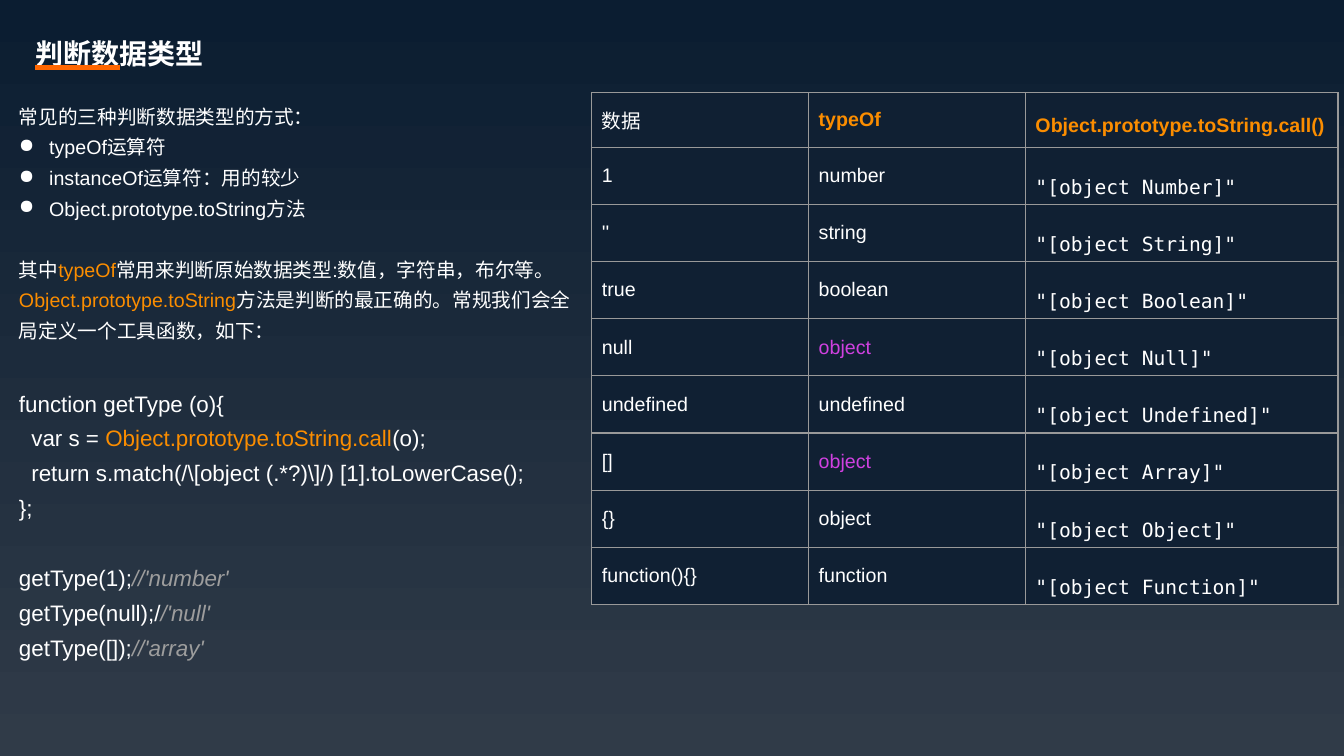
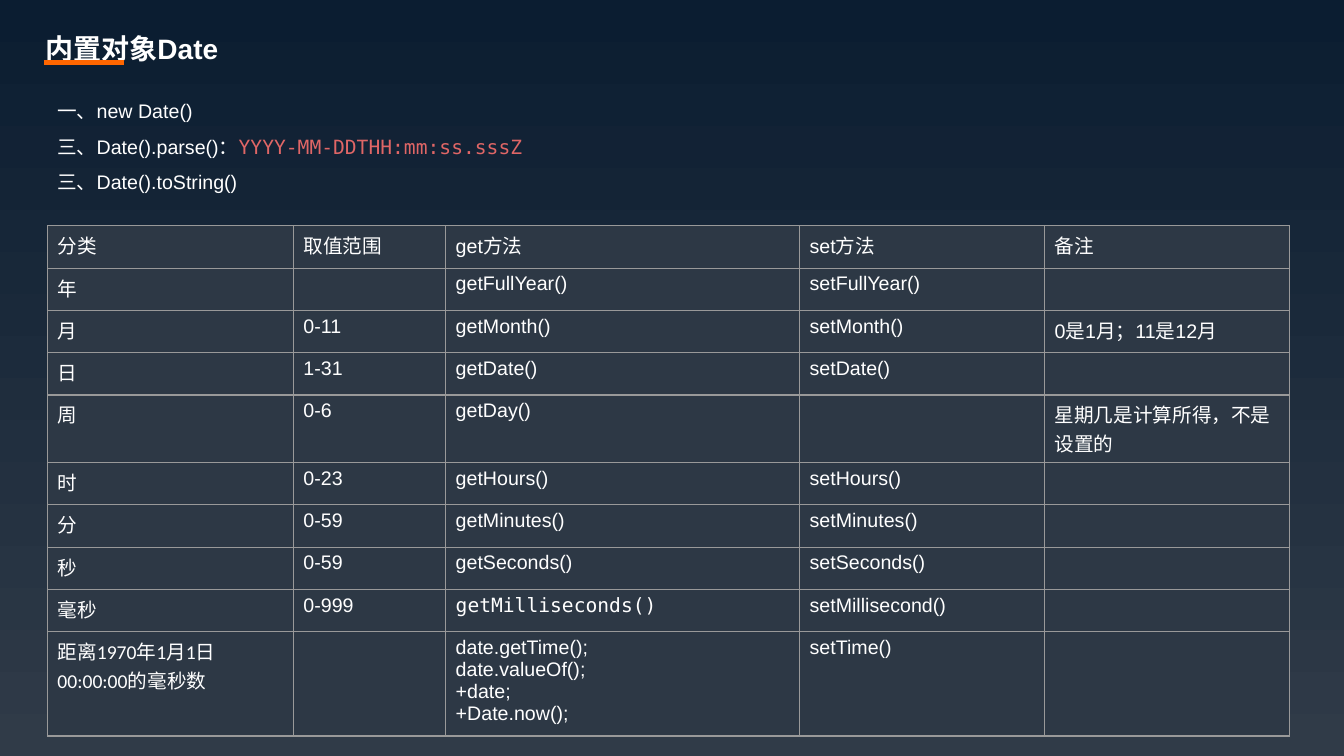
from lxml import etree
from pptx import Presentation
from pptx.dml.color import RGBColor
from pptx.enum.shapes import MSO_CONNECTOR
from pptx.enum.text import MSO_ANCHOR
from pptx.oxml.ns import qn
from pptx.util import Inches, Pt

STRAIGHT = MSO_CONNECTOR.STRAIGHT
TOP, MIDDLE = MSO_ANCHOR.TOP, MSO_ANCHOR.MIDDLE

WHITE = RGBColor(0xFF, 0xFF, 0xFF)
ORANGE = RGBColor(0xFB, 0x8D, 0x00)
ACCENT = RGBColor(0xFF, 0x66, 0x00)
PURPLE = RGBColor(0xD0, 0x41, 0xE1)
RED = RGBColor(0xE0, 0x66, 0x66)
GREY = RGBColor(0x9D, 0x9D, 0x9D)
NAVY = RGBColor(0x10, 0x20, 0x33)
SLATE = RGBColor(0x2D, 0x38, 0x45)
DUSK = RGBColor(0x30, 0x3B, 0x48)
NIGHT = RGBColor(0x0B, 0x1D, 0x31)
BORDER = "999999"
SANS, MONO = "Arial", "DejaVu Sans Mono"


def write(par, *parts, size=14, spacing=1.0):
    """Fill a paragraph with white strings and (text, colour) pairs."""
    par.line_spacing = spacing
    par.font.name = SANS
    par.font.size = Pt(size)
    par.font.color.rgb = WHITE
    for part in parts:
        text, color = (part, None) if isinstance(part, str) else part
        run = par.add_run()
        run.text = text
        if color is not None:
            run.font.color.rgb = color


def add_grid(slide, left, top, widths, heights, rows, fill, anchor):
    """Add a bordered table; line breaks in a cell start new paragraphs."""
    frame = slide.shapes.add_table(
        len(rows), len(widths), Inches(left), Inches(top),
        Inches(sum(widths)), Inches(sum(heights)))
    table = frame.table
    table.first_row = table.horz_banding = False
    for column, width in zip(table.columns, widths):
        column.width = Inches(width)
    for r, texts in enumerate(rows):
        table.rows[r].height = Inches(heights[r])
        for c, text in enumerate(texts):
            cell = table.cell(r, c)
            cell.vertical_anchor = anchor
            props = cell._tc.get_or_add_tcPr()
            for side in ("a:lnL", "a:lnR", "a:lnT", "a:lnB"):
                edge = etree.SubElement(props, qn(side), w=str(Pt(1)))
                solid = etree.SubElement(edge, qn("a:solidFill"))
                etree.SubElement(solid, qn("a:srgbClr"), val=BORDER)
            cell.fill.solid()
            cell.fill.fore_color.rgb = fill
            for i, line in enumerate(text.split("\n")):
                pars = cell.text_frame
                par = pars.add_paragraph() if i else pars.paragraphs[0]
                write(par, *([line] if line else []))
    return table


prs = Presentation()
prs.slide_width, prs.slide_height = Inches(13.33), Inches(7.5)
back = prs.slide_master.background.fill
back.gradient()
back.gradient_angle = 90
for stop, color in zip(back.gradient_stops, (DUSK, NIGHT)):
    stop.color.rgb = color

# Titles: text, left, top, width, underline start, end, height
titles = [
    ("判断数据类型", 0.25, 0.15, 3.45, 0.35, 1.19, 0.67),
    ("内置对象Date", 0.35, 0.1, 3.25, 0.44, 1.23, 0.62),
]
slides = []
for text, left, top, width, start, end, y in titles:
    slide = prs.slides.add_slide(prs.slide_layouts[6])
    box = slide.shapes.add_textbox(
        Inches(left), Inches(top), Inches(width), Inches(0.67))
    box.text_frame.word_wrap = True
    par = box.text_frame.paragraphs[0]
    write(par, text, size=20, spacing=1.5)
    par.font.bold = True
    rule = slide.shapes.add_connector(
        STRAIGHT, Inches(start), Inches(y), Inches(end), Inches(y))
    rule.line.color.rgb = ACCENT
    rule.line.width = Pt(4)
    etree.SubElement(rule._element.spPr, qn("a:effectLst"))
    slides.append(slide)
types, dates = slides

# Data types
kinds = [
    ("1", "number", "Number"),
    ("''", "string", "String"),
    ("true", "boolean", "Boolean"),
    ("null", "object", "Null"),
    ("undefined", "undefined", "Undefined"),
    ("[]", "object", "Array"),
    ("{}", "object", "Object"),
    ("function(){}", "function", "Function"),
]
rows = [("数据", "typeOf", "Object.prototype.toString.call()")]
rows += [(value, kind, f'"[object {tag}]"') for value, kind, tag in kinds]
table = add_grid(types, 5.87, 0.92, (2.15, 2.15, 3.1),
                 [0.54] + [0.56] * len(kinds), rows, NAVY, MIDDLE)
for c in (1, 2):
    head = table.cell(0, c).text_frame.paragraphs[0]
    head.font.color.rgb = ORANGE
    head.font.bold = True
head.line_spacing = 1.5
for r in range(1, len(rows)):
    par = table.cell(r, 2).text_frame.paragraphs[0]
    par.font.name = MONO
    par.line_spacing = 2.0
for r in (4, 6):
    table.cell(r, 1).text_frame.paragraphs[0].font.color.rgb = PURPLE

# Notes: space before, size, bulleted, parts
notes = [
    (0, 14, False, ["常见的三种判断数据类型的方式："]),
    (0, 14, True, ["typeOf运算符"]),
    (0, 14, True, ["instanceOf运算符：用的较少"]),
    (0, 14, True, ["Object.prototype.toString方法"]),
    (22, 14, False, ["其中", ("typeOf", ORANGE),
                     "常用来判断原始数据类型:数值，字符串，布尔等。"]),
    (0, 14, False, [("Object.prototype.toString", ORANGE),
                    "方法是判断的最正确的。常规我们会全局定义一个工具函数，如下："]),
    (28, 16, False, ["function getType (o){"]),
    (0, 16, False, ["  var s = ", ("Object.prototype.toString.call", ORANGE),
                    "(o);"]),
    (0, 16, False, [r"  return s.match(/\[object (.*?)\]/) [1].toLowerCase();"]),
    (0, 16, False, ["};"]),
    (25, 16, False, ["getType(1);", ("//'number'", GREY)]),
    (0, 16, False, ["getType(null);/", ("/'null'", GREY)]),
    (0, 16, False, ["getType([]);", ("//'array'", GREY)]),
]
box = types.shapes.add_textbox(
    Inches(0.09), Inches(0.92), Inches(5.8), Inches(5.69))
box.text_frame.word_wrap = True
for i, (gap, size, bullet, parts) in enumerate(notes):
    par = box.text_frame.add_paragraph() if i else box.text_frame.paragraphs[0]
    if bullet:
        props = par._p.get_or_add_pPr()
        props.set("marL", str(Inches(0.3)))
        props.set("indent", str(-Inches(0.3)))
        etree.SubElement(props, qn("a:buChar"), char="●")
    write(par, *parts, size=size, spacing=1.3)
    if gap:
        par.space_before = Pt(gap)
for par in box.text_frame.paragraphs[-3:]:
    par.runs[1].font.italic = True

# Date methods
rows = [
    ("分类", "取值范围", "get方法", "set方法", "备注"),
    ("年", "", "getFullYear()", "setFullYear()", ""),
    ("月", "0-11", "getMonth()", "setMonth()", "0是1月；11是12月"),
    ("日", "1-31", "getDate()", "setDate()", ""),
    ("周", "0-6", "getDay()", "", "星期几是计算所得，不是设置的"),
    ("时", "0-23", "getHours()", "setHours()", ""),
    ("分", "0-59", "getMinutes()", "setMinutes()", ""),
    ("秒", "0-59", "getSeconds()", "setSeconds()", ""),
    ("毫秒", "0-999", "getMilliseconds()", "setMillisecond()", ""),
    ("距离1970年1月1日00:00:00的毫秒数", "",
     "date.getTime();\ndate.valueOf();\n+date;\n+Date.now();", "setTime()", ""),
]
heights = [0.42] * len(rows)
heights[4], heights[9] = 0.67, 0.97
table = add_grid(dates, 0.47, 2.24, (2.44, 1.51, 3.51, 2.43, 2.43),
                 heights, rows, SLATE, TOP)
table.cell(8, 2).text_frame.paragraphs[0].font.name = MONO
table.cell(9, 0).text_frame.paragraphs[0].font.name = "Calibri"

calls = [
    ["一、new Date()"],
    ["三、Date().parse()：", ("YYYY-MM-DDTHH:mm:ss.sssZ", RED)],
    ["三、Date().toString()"],
]
box = dates.shapes.add_textbox(
    Inches(0.47), Inches(0.82), Inches(11.7), Inches(1.41))
box.text_frame.word_wrap = True
for i, parts in enumerate(calls):
    par = box.text_frame.add_paragraph() if i else box.text_frame.paragraphs[0]
    write(par, *parts, spacing=1.5)
box.text_frame.paragraphs[1].runs[1].font.name = MONO

prs.save("out.pptx")
